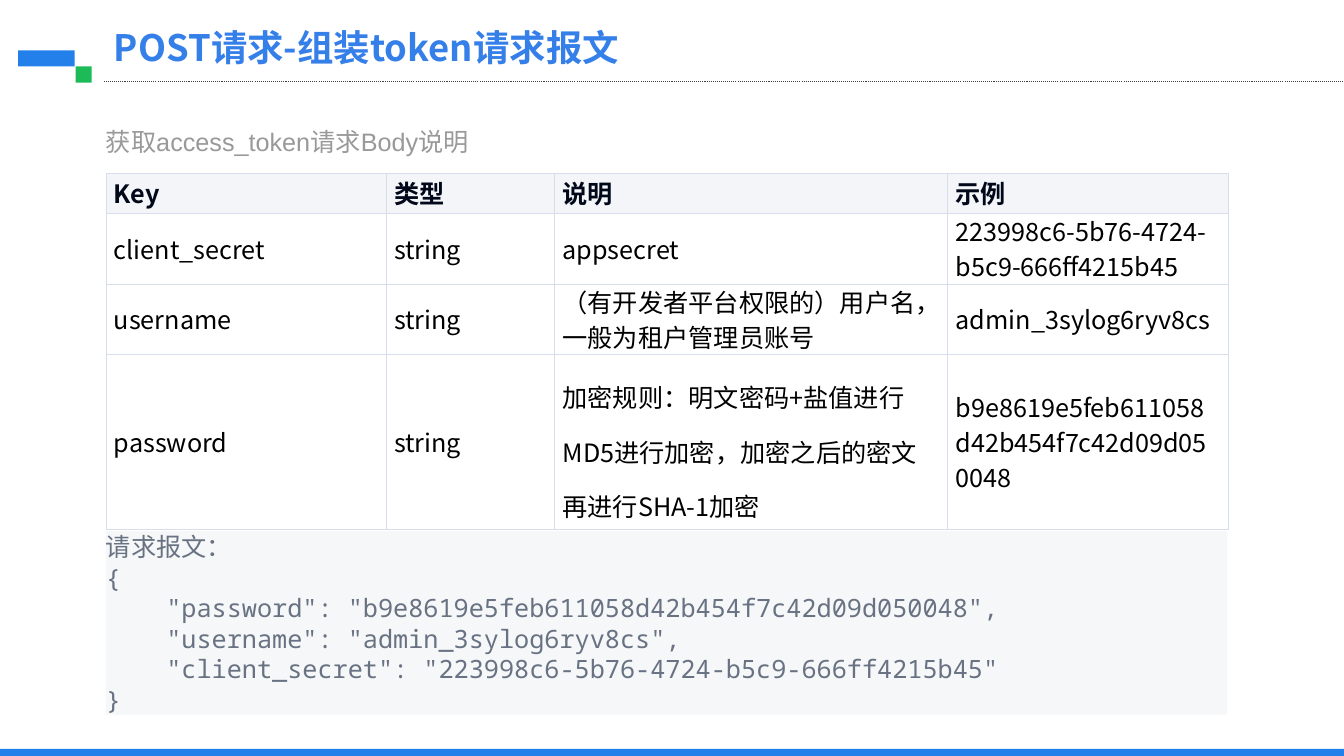
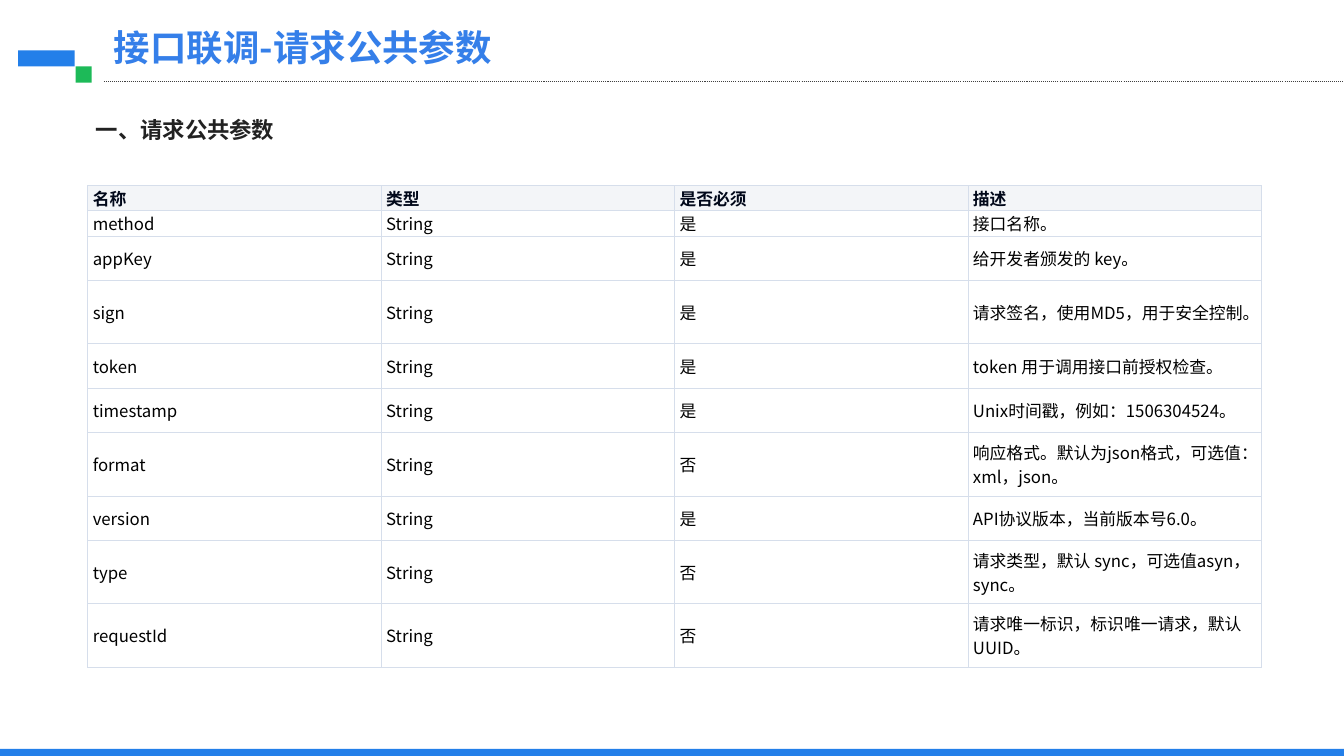
from lxml.etree import SubElement
from pptx import Presentation
from pptx.dml.color import RGBColor
from pptx.enum.dml import MSO_LINE
from pptx.enum.shapes import MSO_CONNECTOR, MSO_SHAPE
from pptx.enum.text import MSO_ANCHOR, MSO_AUTO_SIZE, PP_ALIGN
from pptx.oxml.ns import qn
from pptx.util import Emu, Pt

# Shared scale, colours and fonts
PX = 9144  # 100 px to the inch
WIDTH, HEIGHT = 1333, 750
BLUE, GREEN, TITLE_BLUE = "237FE9", "1DBA58", "357FE9"
WHITE, BLACK, RULE = "FFFFFF", "000000", "404040"
HEAD_TEXT, HEAD_FILL, BORDER = "01081A", "F3F5F8", "D6DEEB"
CJK = "Noto Sans CJK SC"

TITLE = {"name": CJK, "size": Pt(26), "bold": True, "color": TITLE_BLUE}
CAPTION = {"name": "Arial", "size": Pt(18), "color": "999999"}
SECTION = {"name": "Arial", "size": Pt(16), "bold": True, "color": "222222"}
CODE = {"name": "Noto Sans Mono", "size": Pt(18), "color": "687282"}

# Content
TOKEN_ROWS = [
    ["Key", "类型", "说明", "示例"],
    ["client_secret", "string", "appsecret", "223998c6-5b76-4724-b5c9-666ff4215b45"],
    ["username", "string", "（有开发者平台权限的）用户名，一般为租户管理员账号", "admin_3sylog6ryv8cs"],
    ["password", "string",
     "加密规则：明文密码+盐值进行MD5进行加密，加密之后的密文再进行SHA-1加密",
     "b9e8619e5feb611058d42b454f7c42d09d050048"],
]
REQUEST_LINES = [
    "请求报文：",
    "{",
    '    "password": "b9e8619e5feb611058d42b454f7c42d09d050048",',
    '    "username": "admin_3sylog6ryv8cs",',
    '    "client_secret": "223998c6-5b76-4724-b5c9-666ff4215b45"',
    "}",
]
PARAMETERS = [
    ("method", "是", "接口名称。"),
    ("appKey", "是", "给开发者颁发的 key。"),
    ("sign", "是", "请求签名，使用MD5，用于安全控制。"),
    ("token", "是", "token 用于调用接口前授权检查。"),
    ("timestamp", "是", "Unix时间戳，例如：1506304524。"),
    ("format", "否", "响应格式。默认为json格式，可选值：xml，json。"),
    ("version", "是", "API协议版本，当前版本号6.0。"),
    ("type", "否", "请求类型，默认 sync，可选值asyn，sync。"),
    ("requestId", "否", "请求唯一标识，标识唯一请求，默认UUID。"),
]


def px(*lengths):
    return [Emu(length * PX) for length in lengths]


def color(value):
    return RGBColor.from_string(value)


def set_all(target, values):
    for name, value in values.items():
        setattr(target, name, value)


def write(frame, lines, style, spacing=None):
    """Fill a text frame with one styled paragraph per line."""
    values = dict(style)
    ink = values.pop("color")
    for index, line in enumerate(lines):
        para = frame.add_paragraph() if index else frame.paragraphs[0]
        set_all(para, {"alignment": PP_ALIGN.LEFT, "line_spacing": spacing})
        span = para.add_run()
        span.text = line
        set_all(span.font, values)
        span.font.color.rgb = color(ink)
        SubElement(span.font._element, qn("a:ea"), typeface=CJK)


def set_frame(frame, insets, anchor=MSO_ANCHOR.MIDDLE):
    sides = ("margin_left", "margin_top", "margin_right", "margin_bottom")
    set_all(frame, dict(zip(sides, px(*insets))))
    set_all(frame, {"word_wrap": True, "auto_size": MSO_AUTO_SIZE.NONE,
                    "vertical_anchor": anchor})


def add_block(page, place, fill):
    block = page.shapes.add_shape(MSO_SHAPE.RECTANGLE, *px(*place))
    block.shadow.inherit = False
    block.fill.solid()
    block.fill.fore_color.rgb = color(fill)
    block.line.fill.background()
    return block


def add_caption(page, place, text):
    box = page.shapes.add_textbox(*px(*place))
    set_frame(box.text_frame, (0, 0, 0, 0))
    write(box.text_frame, [text], CAPTION, Pt(22))


def add_page(deck, title):
    """Title-only page with the footer band, corner blocks and dotted rule."""
    page = deck.slides.add_slide(deck.slide_layouts[5])
    for place, fill in [((0, 743, WIDTH, 7), BLUE),
                        ((18, 50, 56, 16), BLUE),
                        ((75, 66, 16, 16), GREEN)]:
        add_block(page, place, fill)
    rule = page.shapes.add_connector(MSO_CONNECTOR.STRAIGHT, *px(103, 81, WIDTH, 81))
    rule.line.color.rgb = color(RULE)
    set_all(rule.line, {"width": Pt(0.75), "dash_style": MSO_LINE.ROUND_DOT})
    SubElement(rule._element.spPr, qn("a:effectLst"))
    heading = page.shapes.title
    set_all(heading, dict(zip(("left", "top", "width", "height"), px(103, 20, 907, 54))))
    set_frame(heading.text_frame, (10, 0, 10, 0))
    write(heading.text_frame, [title], TITLE)
    return page


def add_borders(cell):
    properties = cell._tc.get_or_add_tcPr()
    for side in ("lnL", "lnR", "lnT", "lnB"):
        edge = SubElement(properties, qn("a:" + side), w=str(Pt(0.6)))
        fill = SubElement(edge, qn("a:solidFill"))
        SubElement(fill, qn("a:srgbClr"), val=BORDER)


def add_grid(page, corner, widths, heights, rows, size, insets, spacing=None):
    """Table with a tinted bold header row and thin borders."""
    place = px(*corner, sum(widths), sum(heights))
    table = page.shapes.add_table(len(rows), len(widths), *place).table
    set_all(table, {"first_row": False, "horz_banding": False})
    for column, width in zip(table.columns, px(*widths)):
        column.width = width
    for row, height in zip(table.rows, px(*heights)):
        row.height = height
    for row_index, texts in enumerate(rows):
        header = row_index == 0
        style = {"name": CJK, "size": size, "bold": header,
                 "color": HEAD_TEXT if header else BLACK}
        for column_index, text in enumerate(texts):
            cell = table.cell(row_index, column_index)
            add_borders(cell)
            cell.fill.solid()
            cell.fill.fore_color.rgb = color(HEAD_FILL if header else WHITE)
            left, right = px(*insets)
            set_all(cell, {"margin_left": left, "margin_right": right,
                           "margin_top": 0, "margin_bottom": 0,
                           "vertical_anchor": MSO_ANCHOR.MIDDLE})
            write(cell.text_frame, [text], style, spacing)
    return table


def build_token_page(deck):
    page = add_page(deck, "POST请求-组装token请求报文")
    table = add_grid(page, (105, 172), [278, 167, 390, 278], [40, 70, 70, 173],
                     TOKEN_ROWS, Pt(18), (8, 12), Pt(25))
    # The encryption rule is set with wider lines
    table.cell(3, 2).text_frame.paragraphs[0].line_spacing = Pt(39)
    add_caption(page, (105, 125, 363, 30), "获取access_token请求Body说明")
    request = add_block(page, (105, 527, 1112, 182), "F5F7F8")
    set_frame(request.text_frame, (0, 0, 0, 0))
    write(request.text_frame, REQUEST_LINES, CODE, Pt(21.8))


def build_parameter_page(deck):
    page = add_page(deck, "接口联调-请求公共参数")
    rows = [["名称", "类型", "是否必须", "描述"]]
    rows += [[name, "String", required, note] for name, required, note in PARAMETERS]
    heights = [25, 25, 44, 63, 44, 44, 63, 44, 63, 63]
    add_grid(page, (87, 184), [291] * 4, heights, rows, Pt(12), (5, 7))
    section = add_block(page, (95, 103, 924, 80), WHITE)
    set_frame(section.text_frame, (0, 12, 0, 9), MSO_ANCHOR.TOP)
    write(section.text_frame, ["一、请求公共参数"], SECTION)


def main():
    deck = Presentation()
    deck.slide_width, deck.slide_height = px(WIDTH, HEIGHT)
    build_token_page(deck)
    build_parameter_page(deck)
    deck.save("out.pptx")


if __name__ == "__main__":
    main()
